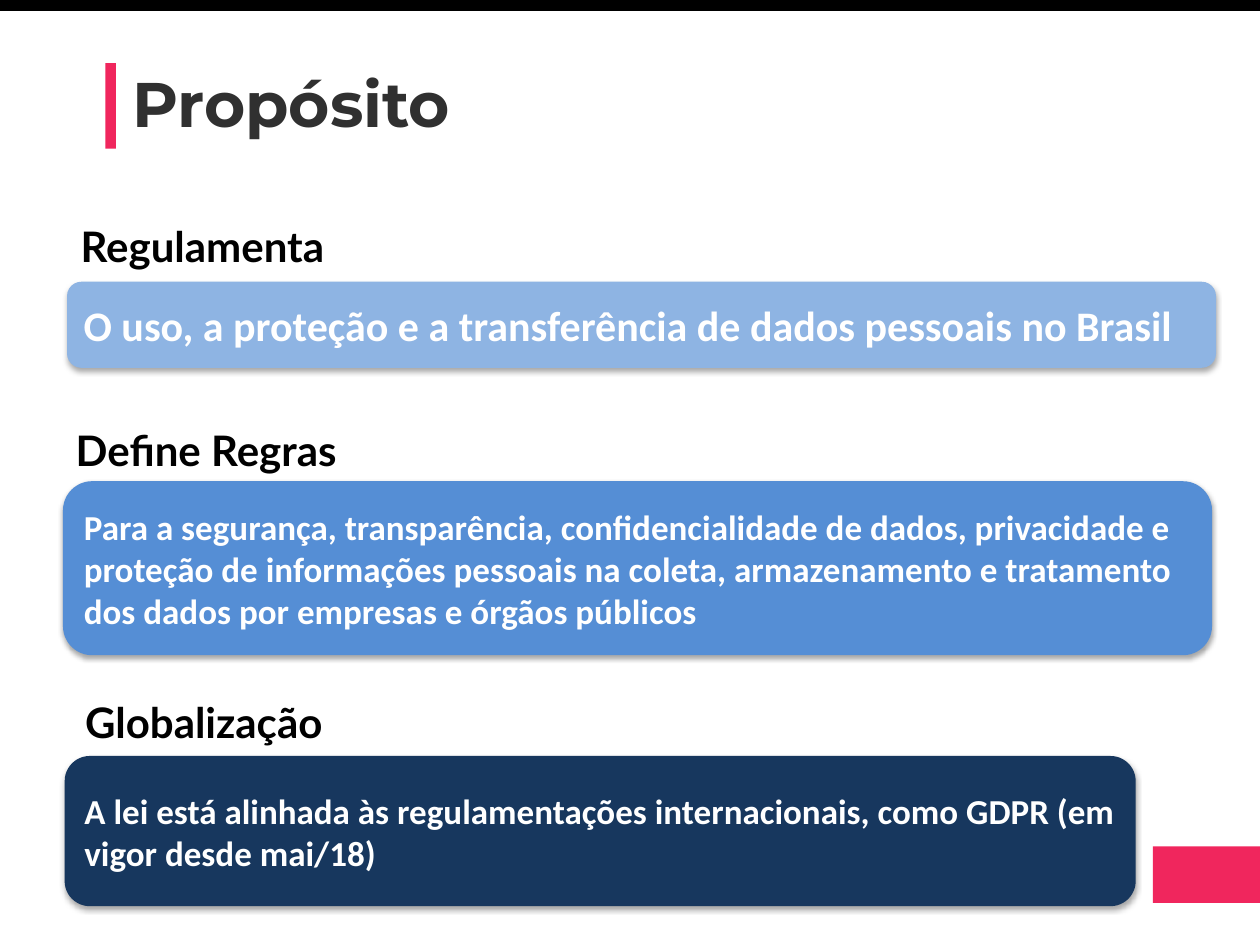
from dataclasses import dataclass

from lxml.etree import SubElement
from pptx import Presentation
from pptx.dml.color import RGBColor
from pptx.enum.shapes import MSO_SHAPE as Shape
from pptx.enum.text import MSO_ANCHOR as Anchor, MSO_AUTO_SIZE as AutoSize, PP_ALIGN as Align
from pptx.oxml.ns import qn
from pptx.shapes.autoshape import Shape as AutoShape
from pptx.shapes.shapetree import GroupShapes, SlideShapes
from pptx.util import Pt

COLORS = {
    "pink": "F0265D",
    "black": "000000",
    "white": "FFFFFF",
    "title": "303030",
    "light": "8EB4E3",
    "medium": "558ED5",
    "navy": "17375E",
}


@dataclass(frozen=True)
class Area:
    left: float
    top: float
    width: float
    height: float

    def lengths(self) -> tuple[Pt, Pt, Pt, Pt]:
        return Pt(self.left), Pt(self.top), Pt(self.width), Pt(self.height)


@dataclass(frozen=True)
class Style:
    font: str
    size: float
    color: str


@dataclass(frozen=True)
class Bar:
    area: Area
    color: str


@dataclass(frozen=True)
class Purpose:
    heading: str
    heading_area: Area
    heading_wraps: bool
    detail: str
    detail_area: Area
    detail_size: float
    color: str


TITLE_STYLE = Style("Montserrat", 36, "title")
HEADING_STYLE = Style("Lato", 24, "black")

BARS = [
    Bar(Area(60.3, 36, 6, 49), "pink"),
    Bar(Area(0, 0, 720, 6.3), "black"),
    Bar(Area(658.8, 483.6, 61.2, 32.4), "pink"),
]

PURPOSES = [
    Purpose(
        "Regulamenta", Area(39, 122.6, 175, 36), True,
        "O uso, a proteção e a transferência de dados pessoais no Brasil",
        Area(38.3, 161, 656.6, 49.2), 24, "light",
    ),
    Purpose(
        "Define Regras", Area(36.2, 239.2, 178, 36), False,
        "Para a segurança, transparência, confidencialidade de dados, privacidade e "
        "proteção de informações pessoais na coleta, armazenamento e tratamento "
        "dos dados por empresas e órgãos públicos",
        Area(36, 275, 656.6, 99.4), 20, "medium",
    ),
    Purpose(
        "Globalização", Area(41.5, 394.7, 170, 36), False,
        "A lei está alinhada às regulamentações internacionais, como GDPR (em vigor desde mai/18)",
        Area(37, 432, 612, 85.8), 20, "navy",
    ),
]


def write(box: AutoShape, text: str, style: Style) -> None:
    box.text_frame.text = text
    para = box.text_frame.paragraphs[0]
    para.alignment = Align.LEFT
    for span in para.runs:
        span.font.name = style.font
        span.font.size = Pt(style.size)
        span.font.bold = True
        span.font.color.rgb = RGBColor.from_string(COLORS[style.color])


def add_label(shapes: SlideShapes | GroupShapes, area: Area, text: str,
              style: Style, wraps: bool = True) -> AutoShape:
    box = shapes.add_textbox(*area.lengths())
    write(box, text, style)
    box.text_frame.word_wrap = wraps
    box.text_frame.auto_size = AutoSize.SHAPE_TO_FIT_TEXT
    return box


def add_block(shapes: SlideShapes | GroupShapes, kind: Shape, area: Area, color: str) -> AutoShape:
    block = shapes.add_shape(kind, *area.lengths())
    block.shadow.inherit = False
    block.fill.solid()
    block.fill.fore_color.rgb = RGBColor.from_string(COLORS[color])
    block.line.fill.background()
    return block


def add_soft_shadow(block: AutoShape) -> None:
    effects = block.element.spPr.find(qn("a:effectLst"))
    shadow = SubElement(
        effects, qn("a:outerShdw"), blurRad=str(Pt(3.1)), dist=str(Pt(1.8)),
        dir="5400000", rotWithShape="0",
    )
    tint = SubElement(shadow, qn("a:srgbClr"), val=COLORS["black"])
    SubElement(tint, qn("a:alpha"), val="35000")


def add_purpose(shapes: SlideShapes, purpose: Purpose) -> None:
    members = shapes.add_group_shape().shapes
    add_label(members, purpose.heading_area, purpose.heading, HEADING_STYLE, purpose.heading_wraps)
    block = add_block(members, Shape.ROUNDED_RECTANGLE, purpose.detail_area, purpose.color)
    add_soft_shadow(block)
    write(block, purpose.detail, Style("Calibri", purpose.detail_size, "white"))
    block.text_frame.word_wrap = True
    block.text_frame.vertical_anchor = Anchor.MIDDLE


def main() -> None:
    deck = Presentation()
    deck.slide_width, deck.slide_height = Pt(720), Pt(540)
    page = deck.slides.add_slide(deck.slide_layouts[6])

    title = add_label(page.shapes, Area(68.4, 38.2, 542, 46.8), "Propósito", TITLE_STYLE)
    title.text_frame.paragraphs[0].line_spacing = 0.9
    for bar in BARS:
        add_block(page.shapes, Shape.RECTANGLE, bar.area, bar.color)
    for purpose in PURPOSES:
        add_purpose(page.shapes, purpose)

    deck.save("out.pptx")


if __name__ == "__main__":
    main()
